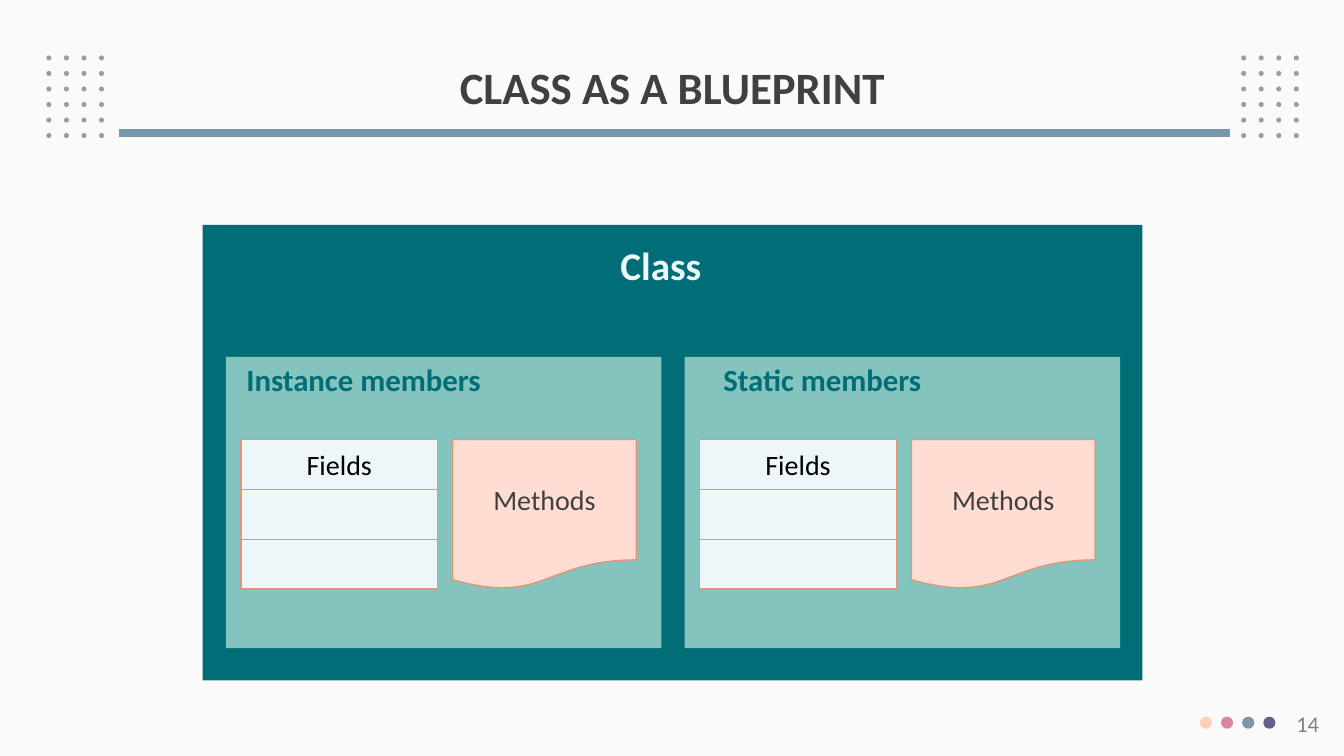
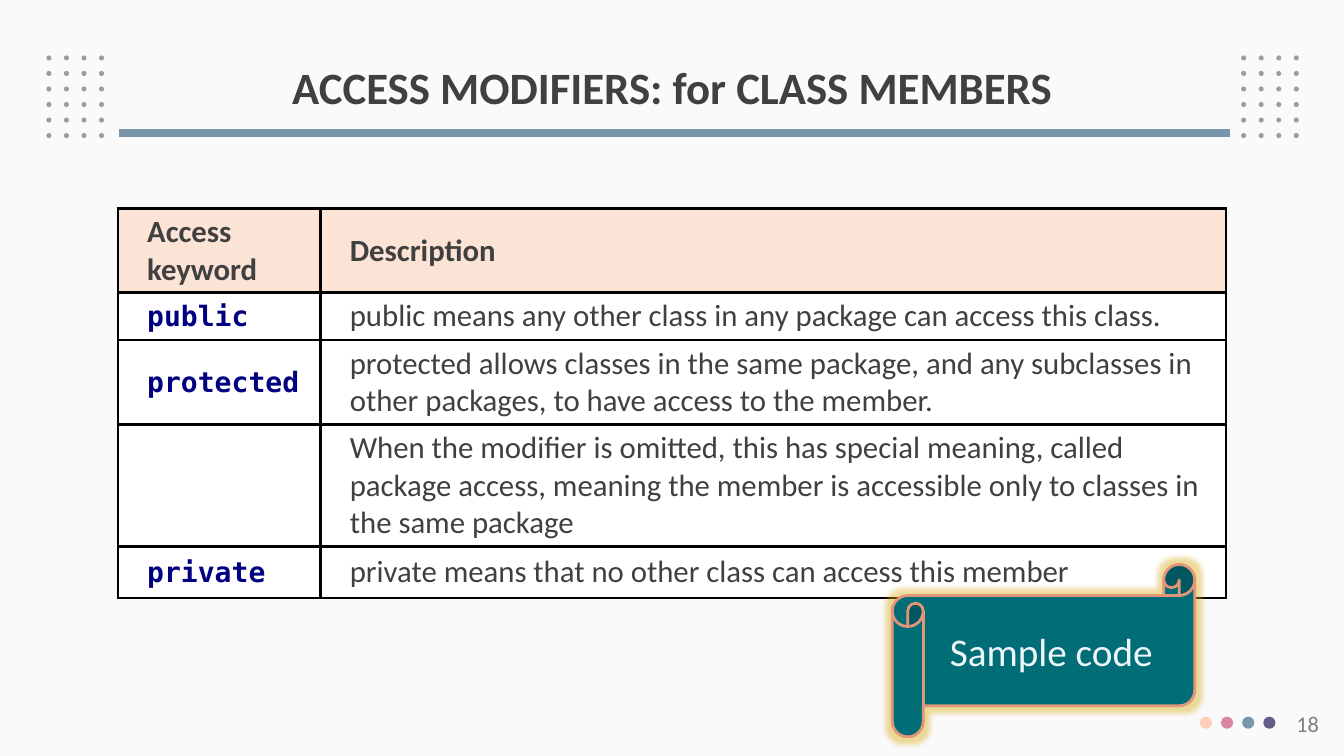
import lxml.etree
import pptx
import pptx.dml.color
import pptx.enum.shapes
import pptx.enum.text
import pptx.oxml.ns
import pptx.util

Inches = pptx.util.Inches
Pt = pptx.util.Pt
Shape = pptx.enum.shapes.MSO_SHAPE
Align = pptx.enum.text.PP_ALIGN
Anchor = pptx.enum.text.MSO_ANCHOR
qn = pptx.oxml.ns.qn

COLORS = {
    "background": "FAFAFA", "text": "404040", "number": "808080",
    "black": "000000", "white": "FFFFFF", "dot": "9D9D9D",
    "peach": "FDCEB9", "pink": "D885A3", "steel": "7897AB", "violet": "655D8A",
    "teal": "006D77", "mint": "83C5BE", "ice": "EDF6F9",
    "blush": "FFDDD2", "coral": "E29578",
    "header": "FBE4D5", "keyword": "000080", "glow": "D6A300",
}
SANS = "Calibri"
MONO = "DejaVu Sans Mono"


def rgb(name):
    return pptx.dml.color.RGBColor.from_string(COLORS[name])


def add_color(parent, name):
    """Append a solid colour element and return it."""
    return lxml.etree.SubElement(parent, qn("a:srgbClr"), val=COLORS[name])


class Deck:
    def __init__(self):
        self.deck = pptx.Presentation()
        self.deck.slide_width = Inches(13.33)
        self.deck.slide_height = Inches(7.5)
        self.page = None

    def new_page(self, title, number):
        """Start a slide with the shared dots, title, rule and page number."""
        self.page = self.deck.slides.add_slide(self.deck.slide_layouts[6])
        self.page.background.fill.solid()
        self.page.background.fill.fore_color.rgb = rgb("background")

        corner_dots = self.page.shapes.add_group_shape()
        for row in range(6):
            for left in (0.46, 12.31):
                for column in range(4):
                    self.shape(Shape.OVAL, left + column * 0.174, 0.55 + row * 0.154,
                               0.05, 0.05, "dot", parent=corner_dots)
        self.rule(1.18, 12.2, 1.32, "steel", 5.25)
        footer_dots = self.page.shapes.add_group_shape()
        for index, color in enumerate(("peach", "pink", "steel", "violet")):
            self.shape(Shape.OVAL, 11.9 + index * 0.21, 7.11, 0.12, 0.12, color,
                       parent=footer_dots)

        heading = self.text(title, 0.92, 0.4, 11.5, 0.98, 32, "text", bold=True,
                            anchor=Anchor.MIDDLE)
        heading.text_frame.paragraphs[0].line_spacing = 0.9
        self.text(number, 10.18, 7, 3, 0.4, 16, "number", align=Align.RIGHT)

    def add_span(self, para, words, size, color, bold=False, font=SANS):
        span = para.add_run()
        span.text = words
        span.font.name = font
        span.font.size = Pt(size)
        span.font.bold = bold
        span.font.color.rgb = rgb(color)

    def text(self, words, left, top, width, height, size, color, bold=False,
             align=Align.CENTER, anchor=Anchor.TOP):
        box = self.page.shapes.add_textbox(Inches(left), Inches(top),
                                           Inches(width), Inches(height))
        box.text_frame.word_wrap = True
        box.text_frame.vertical_anchor = anchor
        para = box.text_frame.paragraphs[0]
        para.alignment = align
        self.add_span(para, words, size, color, bold)
        return box

    def shape(self, kind, left, top, width, height, fill, line=None, weight=1,
              words=None, size=20, color="text", parent=None):
        shape = (parent or self.page).shapes.add_shape(
            kind, Inches(left), Inches(top), Inches(width), Inches(height))
        shape.shadow.inherit = False
        shape.fill.solid()
        shape.fill.fore_color.rgb = rgb(fill)
        if line:
            shape.line.color.rgb = rgb(line)
            shape.line.width = Pt(weight)
        else:
            shape.line.fill.background()
        if words:
            shape.text_frame.vertical_anchor = Anchor.MIDDLE
            para = shape.text_frame.paragraphs[0]
            para.alignment = Align.CENTER
            self.add_span(para, words, size, color)
        return shape

    def rule(self, start, end, top, color, weight):
        line = self.page.shapes.add_connector(
            pptx.enum.shapes.MSO_CONNECTOR.STRAIGHT,
            Inches(start), Inches(top), Inches(end), Inches(top))
        line.line.color.rgb = rgb(color)
        line.line.width = Pt(weight)
        lxml.etree.SubElement(line._element.spPr, qn("a:effectLst"))

    def glow(self, shape, color, radius, opacity):
        effects = shape._element.spPr.find(qn("a:effectLst"))
        glow = lxml.etree.SubElement(effects, qn("a:glow"), rad=str(Pt(radius)))
        lxml.etree.SubElement(add_color(glow, color), qn("a:alpha"),
                              val=str(opacity * 1000))

    def members(self, left, title, title_left):
        """Draw a panel holding a stack of fields and a methods document."""
        self.shape(Shape.RECTANGLE, left, 3.54, 4.32, 2.89, "mint")
        self.text(title, title_left, 3.53, 3.19, 0.47, 22, "teal", bold=True)
        fields = self.page.shapes.add_group_shape()
        for index, words in enumerate(("Fields", None, None)):
            self.shape(Shape.RECTANGLE, left + 0.15, 4.36 + index * 0.495, 1.95, 0.495,
                       "ice", "coral", words=words, color="black", parent=fields)
        self.shape(Shape.FLOWCHART_DOCUMENT, left + 2.25, 4.36, 1.82, 1.49,
                   "blush", "coral", words="Methods")

    def cell(self, cell, words, fill, **style):
        properties = cell._tc.get_or_add_tcPr()
        for side in ("lnL", "lnR", "lnT", "lnB"):
            border = lxml.etree.SubElement(properties, qn("a:" + side), w=str(Pt(2.25)))
            add_color(lxml.etree.SubElement(border, qn("a:solidFill")), "black")
        cell.fill.solid()
        cell.fill.fore_color.rgb = rgb(fill)
        cell.vertical_anchor = Anchor.MIDDLE
        cell.margin_left = cell.margin_right = Inches(0.09)
        if words:
            para = cell.text_frame.paragraphs[0]
            para._p.get_or_add_pPr().set("marL", str(Inches(0.2)))
            self.add_span(para, words, **style)

    def table(self, left, top, widths, heights, rows):
        """Draw a table with a header row and keywords in the first column."""
        table = self.page.shapes.add_table(
            len(rows), len(widths), Inches(left), Inches(top),
            Inches(sum(widths)), Inches(sum(heights))).table
        table.first_row = table.horz_banding = False
        for column, width in zip(table.columns, widths):
            column.width = Inches(width)
        for row, height in zip(table.rows, heights):
            row.height = Inches(height)
        header = {"size": 22, "color": "text", "bold": True}
        keyword = {"size": 20, "color": "keyword", "bold": True, "font": MONO}
        body = {"size": 22, "color": "text"}
        for row, texts in enumerate(rows):
            fill = "white" if row else "header"
            styles = (keyword, body) if row else (header, header)
            for column, (words, style) in enumerate(zip(texts, styles)):
                self.cell(table.cell(row, column), words, fill, **style)


def blueprint_page(deck):
    deck.new_page("CLASS AS A BLUEPRINT", "14")
    deck.shape(Shape.RECTANGLE, 2.01, 2.23, 9.32, 4.52, "teal")
    deck.text("Class", 4.96, 2.34, 3.19, 0.57, 28, "ice", bold=True)
    deck.members(2.24, "Instance members", 2.01)
    deck.members(6.79, "Static members", 6.56)


def modifiers_page(deck):
    deck.new_page("ACCESS MODIFIERS: for CLASS MEMBERS", "18")
    deck.table(1.17, 2.07, (2.01, 8.98), (0.83, 0.47, 0.84, 1.21, 0.51), (
        ("Access keyword", "Description"),
        ("public", "public means any other class in any package can access this class."),
        ("protected", "protected allows classes in the same package, and any subclasses "
                      "in other packages, to have access to the member."),
        (None, "When the modifier is omitted, this has special meaning, called package "
               "access, meaning the member is accessible only to classes in the same "
               "package"),
        ("private", "private means that no other class can access this member"),
    ))
    scroll = deck.shape(Shape.HORIZONTAL_SCROLL, 8.85, 5.6, 3, 1.71, "teal", "coral", 2,
                        words="Sample code", size=28, color="ice")
    scroll.adjustments[0] = 0.18
    deck.glow(scroll, "glow", 8, 40)


def main():
    deck = Deck()
    blueprint_page(deck)
    modifiers_page(deck)
    deck.deck.save("out.pptx")


if __name__ == "__main__":
    main()
